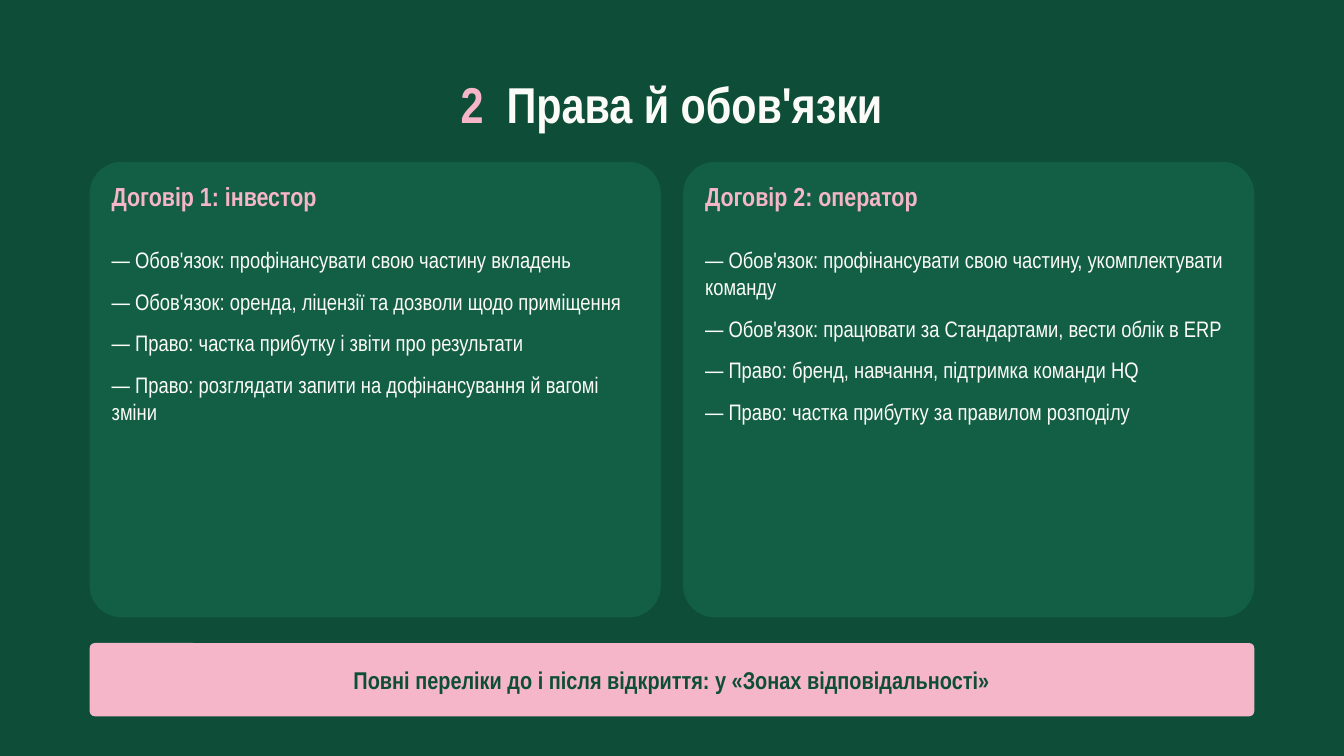
from pptx import Presentation
from pptx.dml.color import RGBColor
from pptx.enum.shapes import MSO_SHAPE
from pptx.enum.text import MSO_ANCHOR, MSO_AUTO_SIZE, PP_ALIGN
from pptx.util import Cm, Pt

COLORS = {
    "background": "0E4D38",
    "card": "135F45",
    "accent": "F4B6C8",
    "light": "FBFBF8",
}
FRAME = {
    "margin_left": 0,
    "margin_top": 0,
    "margin_right": 0,
    "margin_bottom": 0,
    "word_wrap": True,
    "auto_size": MSO_AUTO_SIZE.NONE,
}
CONTRACTS = [
    ("Договір 1: інвестор", [
        "— Обов'язок: профінансувати свою частину вкладень",
        "— Обов'язок: оренда, ліцензії та дозволи щодо приміщення",
        "— Право: частка прибутку і звіти про результати",
        "— Право: розглядати запити на дофінансування й вагомі зміни",
    ]),
    ("Договір 2: оператор", [
        "— Обов'язок: профінансувати свою частину, укомплектувати команду",
        "— Обов'язок: працювати за Стандартами, вести облік в ERP",
        "— Право: бренд, навчання, підтримка команди HQ",
        "— Право: частка прибутку за правилом розподілу",
    ]),
]


def apply(target, formats):
    """Set every attribute named in a dict of format values."""
    for name, value in formats.items():
        setattr(target, name, value)


def style_font(font, size, color, bold=False):
    """Give a font its face, size, weight and colour."""
    apply(font, {"name": "Arial Narrow", "size": Pt(size), "bold": bold})
    font.color.rgb = RGBColor.from_string(COLORS[color])


def add_panel(slide, box, color):
    """Add a plain rounded panel filling the box."""
    panel = slide.shapes.add_shape(MSO_SHAPE.ROUNDED_RECTANGLE, *map(Cm, box))
    panel.shadow.inherit = False
    panel.adjustments[0] = 0.07
    panel.fill.solid()
    panel.fill.fore_color.rgb = RGBColor.from_string(COLORS[color])
    panel.line.fill.background()
    return panel


def add_lines(slide, box, lines, size, color, bold=False, space_after=0):
    """Add a text box with one paragraph per line."""
    frame = slide.shapes.add_textbox(*map(Cm, box)).text_frame
    apply(frame, FRAME)
    frame.text = "\n".join(lines)
    for paragraph in frame.paragraphs:
        paragraph.space_after = Pt(space_after)
        style_font(paragraph.font, size, color, bold)


def place_title(slide, box, number, wording):
    """Move and format the title, with its number in the accent colour."""
    title = slide.shapes.title
    apply(title, dict(zip(("left", "top", "width", "height"), map(Cm, box))))
    frame = title.text_frame
    apply(frame, {**FRAME, "vertical_anchor": MSO_ANCHOR.TOP})
    heading = frame.paragraphs[0]
    apply(heading, {"alignment": PP_ALIGN.CENTER, "line_spacing": 1.0, "space_before": Pt(0)})
    for text, color in ((f"{number} ", "accent"), (wording, "light")):
        run = heading.add_run()
        run.text = text
        style_font(run.font, 54, color, True)
    heading.runs[0].font._element.set("spc", "615")


def add_contract(slide, box, party, terms):
    """Add a card with the contract party and its terms."""
    left, top, width, _ = box
    add_panel(slide, box, "card")
    inner_left, inner_width = left + 0.83, width - 1.65
    add_lines(slide, (inner_left, top + 0.69, inner_width, 1.96), [party], 28, "accent", True)
    add_lines(slide, (inner_left, top + 3.18, inner_width, 13.61), terms, 24, "light", space_after=16)


def add_footer(slide, box, wording):
    """Add the accent bar with its centred note."""
    frame = add_panel(slide, box, "accent").text_frame
    apply(frame, {**FRAME, "vertical_anchor": MSO_ANCHOR.MIDDLE,
                  "margin_left": Cm(0.79), "margin_right": Cm(0.79)})
    frame.text = wording
    note = frame.paragraphs[0]
    note.alignment = PP_ALIGN.CENTER
    style_font(note.font, 26, "background", True)


def main():
    """Build the slide and save it."""
    presentation = Presentation()
    apply(presentation, {"slide_width": Cm(50.8), "slide_height": Cm(28.58)})
    slide = presentation.slides.add_slide(presentation.slide_layouts[5])
    slide.background.fill.solid()
    slide.background.fill.fore_color.rgb = RGBColor.from_string(COLORS["background"])

    left, width, gap = 3.39, 44.02, 0.84
    card_width = (width - gap) / 2
    place_title(slide, (2.72, 2.77, 45.34, 2.49), 2, "Права й обов'язки")
    for column, (party, terms) in enumerate(CONTRACTS):
        card_left = left + column * (card_width + gap)
        add_contract(slide, (card_left, 6.12, card_width, 17.22), party, terms)
    add_footer(slide, (left, 24.31, width, 2.77),
               "Повні переліки до і після відкриття: у «Зонах відповідальності»")
    presentation.save("out.pptx")


if __name__ == "__main__":
    main()
